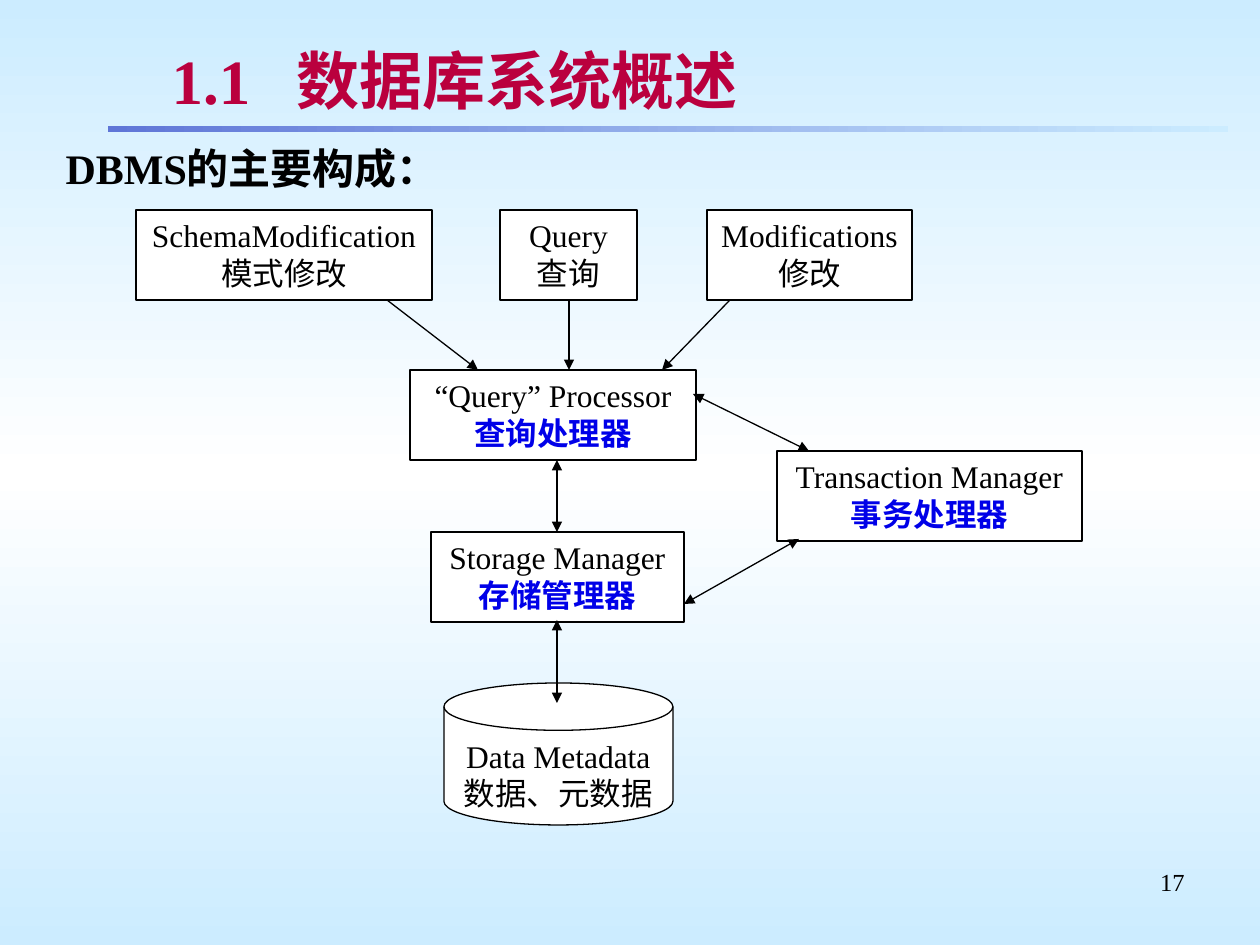
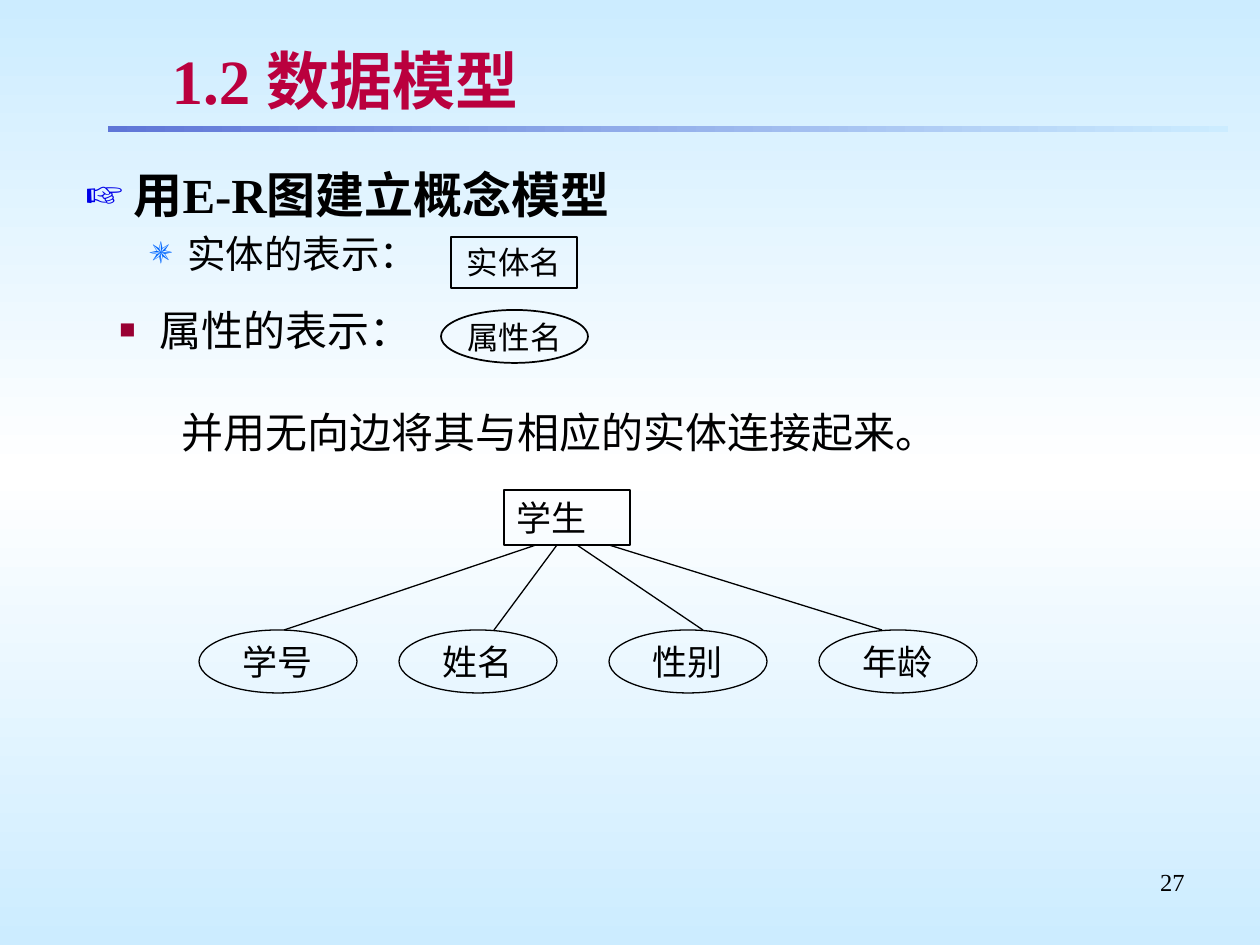
from copy import deepcopy

from pptx import Presentation
from pptx.dml.color import RGBColor
from pptx.enum.shapes import MSO_CONNECTOR, MSO_SHAPE
from pptx.enum.text import MSO_ANCHOR, MSO_AUTO_SIZE, PP_ALIGN
from pptx.oxml.ns import qn
from pptx.util import Emu, Pt
from lxml.etree import SubElement

COLOURS = {
    "ink": "000000",
    "paper": "FFFFFF",
    "sky": "CCECFF",
    "band": "5F76D7",
    "title": "BA003E",
    "title_shadow": "C0C0C0",
    "component": "0000E8",
    "star": "0066FF",
    "square": "990033",
}
SERIF, SANS = "Times New Roman", "Cabin"
RECT, ELLIPSE = MSO_SHAPE.RECTANGLE, MSO_SHAPE.OVAL
DISK = MSO_SHAPE.FLOWCHART_MAGNETIC_DISK


def px(length):
    return Emu(round(length * 914400 / 126))


def rgb(name):
    return RGBColor.from_string(COLOURS[name])


def blend(fill, owner, names, angle):
    """Fill with evenly spaced gradient stops; angle is counter-clockwise."""
    fill.gradient()
    fill.gradient_angle = angle
    stop_list = owner.find(".//" + qn("a:gsLst"))
    while len(stop_list) < len(names):
        stop_list.append(deepcopy(stop_list[0]))
    for index, (stop, name) in enumerate(zip(fill.gradient_stops, names)):
        stop.color.rgb = rgb(name)
        stop.position = index / (len(names) - 1)


def style(paragraph, size, colour="ink", bold=False, font=SERIF, align=PP_ALIGN.LEFT, before=0):
    paragraph.alignment = align
    paragraph.space_before = Pt(before)
    for run in paragraph.runs:
        run.font.size = Pt(size)
        run.font.name = font
        run.font.bold = bold
        run.font.color.rgb = rgb(colour)


def bullet(paragraph, symbol=None, colour="ink", percent=100, margin=0, hanging=0):
    """Set the paragraph's bullet, or remove it when there is no symbol."""
    properties = paragraph._p.get_or_add_pPr()
    properties.set("marL", str(px(margin)))
    properties.set("indent", str(-px(hanging)))
    if symbol is None:
        SubElement(properties, qn("a:buNone"))
        return
    tint = SubElement(properties, qn("a:buClr"))
    SubElement(tint, qn("a:srgbClr"), val=COLOURS[colour])
    SubElement(properties, qn("a:buSzPct"), val=str(percent * 1000))
    SubElement(properties, qn("a:buFont"), typeface=SERIF)
    SubElement(properties, qn("a:buChar"), char=symbol)


def cast_shadow(run):
    """Give a coloured run a small shadow down and to the right."""
    effects = run._r.rPr.makeelement(qn("a:effectLst"))
    run._r.rPr.find(qn("a:solidFill")).addnext(effects)
    shadow = SubElement(effects, qn("a:outerShdw"), dist="35921", dir="2700000")
    SubElement(shadow, qn("a:srgbClr"), val=COLOURS["title_shadow"])


class Deck:
    def __init__(self):
        self.presentation = Presentation()
        self.presentation.slide_width = px(1260)
        self.presentation.slide_height = px(945)
        master = self.presentation.slide_master
        blend(master.background.fill, master.element, ["sky", "paper", "sky"], 270)

    def start(self, heading, number, title_tab=None):
        """Add a slide with its band, title and page number."""
        layout = self.presentation.slide_layouts[1]
        self.slide = self.presentation.slides.add_slide(layout)
        band = self.shape(RECT, (108, 126, 1120, 6))
        blend(band.fill, band._element, ["band", "sky"], 0)
        band.line.fill.background()
        self.note(str(number), (903, 861, 294, 65), 14, align=PP_ALIGN.RIGHT)

        frame = self.place(self.slide.shapes.title, (159, 37, 1038, 84))
        frame.vertical_anchor = MSO_ANCHOR.MIDDLE
        frame.text = heading
        title = frame.paragraphs[0]
        if title_tab:
            tabs = SubElement(title._p.get_or_add_pPr(), qn("a:tabLst"))
            SubElement(tabs, qn("a:tab"), pos=str(px(title_tab)), algn="l")
        style(title, 36, "title", bold=True)
        for run in title.runs:
            cast_shadow(run)

    def place(self, holder, at):
        holder.left, holder.top, holder.width, holder.height = map(px, at)
        frame = holder.text_frame
        frame.word_wrap = True
        frame.auto_size = MSO_AUTO_SIZE.NONE
        return frame

    def body(self, text, at):
        """Fill the body placeholder and return its paragraphs."""
        frame = self.place(self.slide.placeholders[1], at)
        frame.vertical_anchor = MSO_ANCHOR.TOP
        frame.text = text
        return frame.paragraphs

    def note(self, text, at, size, wrap=True, **look):
        frame = self.slide.shapes.add_textbox(*map(px, at)).text_frame
        frame.word_wrap = wrap
        frame.text = text
        style(frame.paragraphs[0], size, **look)
        return frame.paragraphs[0]

    def shape(self, kind, at, fill=None, width=0.75):
        outline = self.slide.shapes.add_shape(kind, *map(px, at))
        outline.shadow.inherit = False
        if fill:
            outline.fill.solid()
            outline.fill.fore_color.rgb = rgb(fill)
        else:
            outline.fill.background()
        outline.line.color.rgb = rgb("ink")
        outline.line.width = Pt(width)
        return outline

    def node(self, kind, text, at, size, fill=None, width=0.75, align=PP_ALIGN.CENTER, font=SERIF):
        frame = self.shape(kind, at, fill, width).text_frame
        frame.word_wrap = kind != ELLIPSE
        frame.vertical_anchor = MSO_ANCHOR.MIDDLE if kind == ELLIPSE else MSO_ANCHOR.TOP
        frame.text = text
        for paragraph in frame.paragraphs:
            style(paragraph, size, align=align, font=font)
        return frame.paragraphs

    def link(self, start, end, arrows=()):
        """Join two points; arrows names the ends (head, tail) that get one."""
        connector = self.slide.shapes.add_connector(
            MSO_CONNECTOR.STRAIGHT, *map(px, start + end))
        connector.line.color.rgb = rgb("ink")
        connector.line.width = Pt(0.75)
        properties = connector._element.spPr
        for arrow in arrows:
            SubElement(properties.find(qn("a:ln")), qn(f"a:{arrow}End"), type="triangle")
        SubElement(properties, qn("a:effectLst"))


def dbms_structure(deck):
    deck.start("1.1\t数据库系统概述", 17, title_tab=125)
    [lead] = deck.body("DBMS的主要构成：", (53, 136, 1166, 64))
    bullet(lead)
    style(lead, 24, bold=True)

    requests = [
        ("SchemaModification\n模式修改", 136, 296),
        ("Query\n查询", 500, 137),
        ("Modifications\n修改", 707, 205),
    ]
    for text, left, width in requests:
        deck.node(RECT, text, (left, 210, width, 90), 18, "paper")

    components = [
        ("“Query” Processor\n查询处理器", 410, 370, 286),
        ("Storage Manager\n存储管理器", 431, 532, 253),
        ("Transaction Manager\n事务处理器", 777, 451, 305),
    ]
    for text, left, top, width in components:
        _, chinese = deck.node(RECT, text, (left, top, width, 90), 18, "paper")
        style(chinese, 18, "component", bold=True, align=PP_ALIGN.CENTER)
    deck.node(DISK, "Data Metadata\n数据、元数据", (444, 683, 229, 142), 18, "paper")

    for request_x, processor_x in [(387, 478), (569, 569), (730, 662)]:
        deck.link((request_x, 300), (processor_x, 370), ["tail"])
    exchanges = [
        ((557, 460), (557, 532)),
        ((557, 620), (557, 703)),
        ((693, 394), (809, 451)),
        ((799, 539), (684, 604)),
    ]
    for start, end in exchanges:
        deck.link(start, end, ["head", "tail"])


def er_model(deck):
    deck.start("1.2 数据模型", 27)
    topic, entity = deck.body("用E-R图建立概念模型\n实体的表示：", (73, 158, 604, 151))
    bullet(topic, "☞", "component", 95, 48, 48)
    style(topic, 28, bold=True)
    entity.level = 1
    bullet(entity, "✵", "star", 80, 102, 39)
    style(entity, 22, before=4.1)

    attribute = deck.note("属性的表示：", (73, 298, 388, 72), 24, font=SANS)
    bullet(attribute, "■", "square", 64, 74, 40)
    deck.note("并用无向边将其与相应的实体连接起来。", (169, 400, 781, 63), 24, wrap=False, font=SANS)

    deck.node(RECT, "实体名", (451, 237, 126, 51), 18)
    deck.node(ELLIPSE, "属性名", (441, 310, 147, 53), 18, width=1, font=SANS)
    deck.node(RECT, "学生", (504, 490, 126, 55), 20, align=PP_ALIGN.LEFT)

    student_attributes = [
        ("学号", 199, 536, 284),
        ("姓名", 399, 557, 494),
        ("性别", 609, 577, 703),
        ("年龄", 819, 609, 882),
    ]
    for name, left, student_x, attribute_x in student_attributes:
        deck.node(ELLIPSE, name, (left, 630, 158, 63), 20)
        deck.link((student_x, 545), (attribute_x, 630))


def main():
    deck = Deck()
    dbms_structure(deck)
    er_model(deck)
    deck.presentation.save("out.pptx")


if __name__ == "__main__":
    main()
